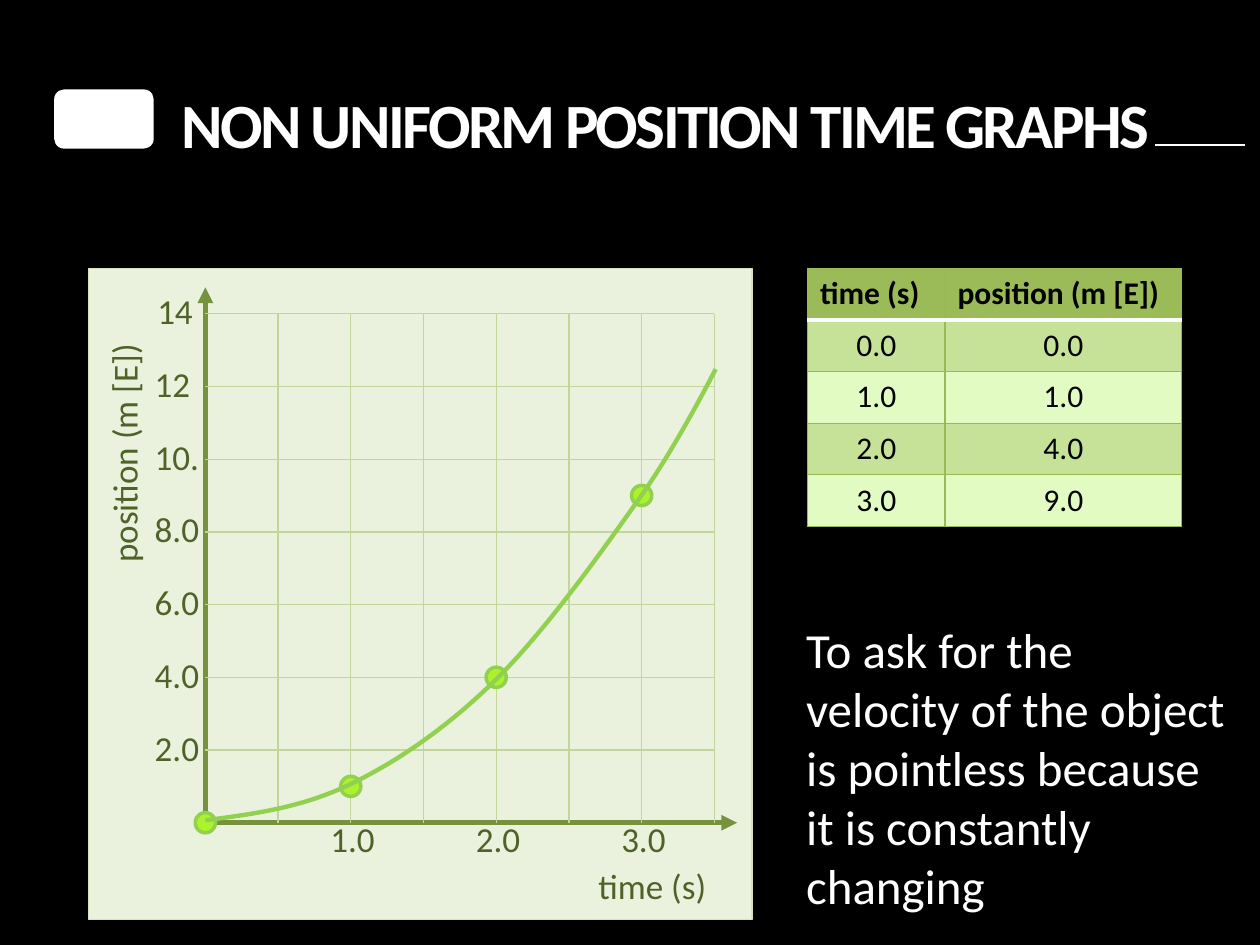
from pptx import Presentation, util as u
from pptx.dml.color import RGBColor
from pptx.enum import shapes as kinds, text as t
from pptx.oxml import ns
from lxml import etree

PX = 9144  # EMU per px, 100 px to the inch
FONT = "Calibri"
DARK_GREEN, LINE_GREEN, WHITE = "4F6228", "92D050", "FFFFFF"


def px(length):
    return u.Emu(round(length * PX))


def color(value):
    return RGBColor.from_string(value)


def add_xml(parent, tag, **attributes):
    return etree.SubElement(parent, ns.qn(tag), attributes)


def write(frame, text, size=20, fill=DARK_GREEN, bold=False, align=t.PP_ALIGN.LEFT, after=0):
    frame.word_wrap = True
    paragraph = frame.paragraphs[0]
    paragraph.alignment = align
    paragraph.space_before, paragraph.space_after = u.Pt(0), u.Pt(after)
    run = paragraph.add_run()
    run.text = text
    font = run.font
    font.name, font.size, font.bold = FONT, u.Pt(size), bold
    font.color.rgb = color(fill)
    return run


def add_text(slide, box, text, rotation=0, **style):
    shape = slide.shapes.add_textbox(*map(px, box))
    shape.rotation = rotation
    write(shape.text_frame, text, **style)


def add_shape(slide, kind, box, fill, line=None, width=0.75):
    shape = slide.shapes.add_shape(kind, *map(px, box))
    shape.shadow.inherit = False
    shape.fill.solid()
    shape.fill.fore_color.rgb = color(fill)
    if line:
        shape.line.color.rgb = color(line)
        shape.line.width = u.Pt(width)
    else:
        shape.line.fill.background()


def add_line(slide, start, end, line, width=0.75, arrow=False):
    connector = slide.shapes.add_connector(
        kinds.MSO_CONNECTOR.STRAIGHT, *map(px, (*start, *end)))
    connector.line.color.rgb = color(line)
    connector.line.width = u.Pt(width)
    if arrow:
        add_xml(connector.line._get_or_add_ln(), "a:tailEnd", type="triangle")
    add_xml(connector._element.spPr, "a:effectLst")


def add_title(slide, left, top):
    # Badge, heading and closing rule
    add_shape(slide, kinds.MSO_SHAPE.ROUNDED_RECTANGLE, (left, top + 19, 79, 47), WHITE)
    title = slide.shapes.title
    title.left, title.top, title.width, title.height = map(px, (left + 91, top + 11, 862, 73))
    frame = title.text_frame
    frame.auto_size = t.MSO_AUTO_SIZE.NONE
    frame.vertical_anchor = t.MSO_ANCHOR.TOP
    run = write(frame, "NON UNIFORM POSITION TIME GRAPHS", size=36, fill=WHITE, bold=True)
    run._r.get_or_add_rPr().set("spc", "-150")
    add_line(slide, (left + 874, top + 63), (left + 945, top + 63), WHITE)


def bezier(start, control_1, control_2, end, steps=16):
    for step in range(1, steps + 1):
        b = step / steps
        a = 1 - b
        yield tuple(a**3 * p + 3 * a * a * b * q + 3 * a * b * b * r + b**3 * s
                    for p, q, r, s in zip(start, control_1, control_2, end))


def add_graph(slide, left, top, width, height):
    add_shape(slide, kinds.MSO_SHAPE.RECTANGLE, (left, top, width, height), "EAF1DD", "D6E3BC")
    side, count = 404, 7
    step = side / count
    x0, y0 = left + 93, top + 440

    # Axes
    for end in ((x0, top + 15), (x0 + 422, y0)):
        add_line(slide, (x0, y0), end, "76923C", 3, arrow=True)

    # Grid
    for index in range(1, count + 1):
        x, y = x0 + index * step, y0 - index * step
        add_line(slide, (x, y0), (x, y0 - side), "C2D69B")
        add_line(slide, (x0, y), (x0 + side, y), "C2D69B")

    # Scale labels and axis names
    for index, label in enumerate(("2.0", "4.0", "6.0", "8.0", "10.", "12", "14"), 1):
        nudge = 2 if label == "14" else 0
        add_text(slide, (x0 - 50 + nudge, y0 - index * step - 24, 57, 37), label, after=10)
    for second in (1, 2, 3):
        add_text(slide, (x0 + 2 * second * step - 26, y0 - 9, 57, 37), f"{second}.0", after=10)
    add_text(slide, (left + 395, top + 468, 132, 45), "time (s)", after=10)
    add_text(slide, (left - 72, top + 119, 203, 46), "position (m [E])", rotation=270, after=10)

    # Data points: position is the square of time
    for second in range(4):
        x, y = x0 + 2 * second * step, y0 - second**2 * step / 2
        add_shape(slide, kinds.MSO_SHAPE.OVAL, (x - 8, y - 8, 16, 16), "ACF32D", LINE_GREEN, 2)

    # Curve, as offsets from the origin of the axes
    segments = (((39, -7), (77, -12), (116, -31)),
                ((155, -50), (195, -78), (233, -116)),
                ((272, -155), (318, -220), (347, -261)),
                ((375, -301), (405, -360), (405, -360)))
    start = (0, -2)
    points = [start]
    for segment in segments:
        points.extend(bezier(start, *segment))
        start = segment[-1]
    points = [(px(x0 + x), px(y0 + y)) for x, y in points]
    builder = slide.shapes.build_freeform(*points[0])
    builder.add_line_segments(points[1:], close=False)
    curve = builder.convert_to_shape()
    curve.shadow.inherit = False
    curve.fill.background()
    curve.line.color.rgb = color(LINE_GREEN)
    curve.line.width = u.Pt(2.5)


def set_border(cell, side, line, width):
    border = add_xml(cell._tc.get_or_add_tcPr(), f"a:{side}", w=str(u.Pt(width)))
    add_xml(add_xml(border, "a:solidFill"), "a:srgbClr", val=line)


def add_data_table(slide, left, top):
    rows = (("time (s)", "position (m [E])"),
            ("0.0", "0.0"), ("1.0", "1.0"), ("2.0", "4.0"), ("3.0", "9.0"))
    widths, row_height = (109, 188), 41
    table = slide.shapes.add_table(
        len(rows), len(widths),
        *map(px, (left, top, sum(widths), row_height * len(rows)))).table
    for column, width in zip(table.columns, widths):
        column.width = px(width)
    for r, values in enumerate(rows):
        table.rows[r].height = px(row_height)
        header = r == 0
        fill = "9BBB59" if header else ("C6E298" if r % 2 else "E2FBC2")
        for c, value in enumerate(values):
            cell = table.cell(r, c)
            write(cell.text_frame, value, size=18, fill="000000", bold=header,
                  align=t.PP_ALIGN.LEFT if header else t.PP_ALIGN.CENTER)
            for side in ("lnL", "lnR", "lnT", "lnB"):
                rule = (header and side == "lnB") or (r == 1 and side == "lnT")
                set_border(cell, side, *((WHITE, 2) if rule else ("98B955", 0.75)))
            cell.fill.solid()
            cell.fill.fore_color.rgb = color(fill)


def main():
    presentation = Presentation()
    presentation.slide_width, presentation.slide_height = px(1000), px(750)
    slide = presentation.slides.add_slide(presentation.slide_layouts[5])
    slide.background.fill.solid()
    slide.background.fill.fore_color.rgb = color("000000")

    add_title(slide, 43, 52)
    add_graph(slide, 70, 213, 527, 517)
    add_data_table(slide, 641, 213)
    add_text(slide, (630, 487, 356, 243),
             "To ask for the velocity of the object is pointless because it is constantly changing",
             size=28, fill=WHITE)
    presentation.save("out.pptx")


if __name__ == "__main__":
    main()
